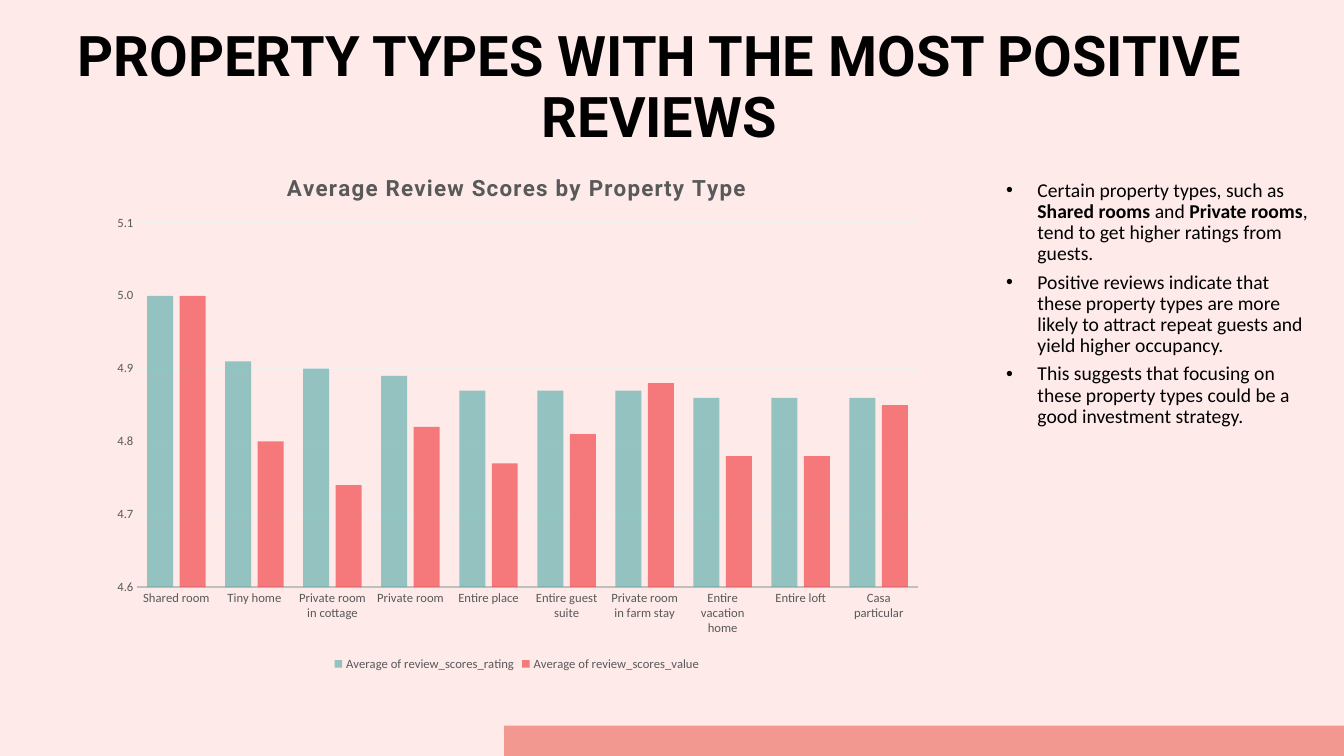
from lxml.etree import SubElement
from pptx import Presentation
from pptx.chart.data import CategoryChartData
from pptx.dml.color import RGBColor
from pptx.enum.chart import XL_CHART_TYPE, XL_LEGEND_POSITION, XL_TICK_MARK
from pptx.enum.shapes import MSO_SHAPE
from pptx.enum.text import MSO_ANCHOR, MSO_AUTO_SIZE, PP_ALIGN
from pptx.oxml import parse_xml
from pptx.oxml.ns import nsdecls, qn
from pptx.util import Inches, Pt

TITLE = "PROPERTY TYPES WITH THE MOST POSITIVE REVIEWS"
CHART_TITLE = "Average Review Scores by Property Type"
POINTS = [
    [("Certain property types, such as ", False), ("Shared rooms ", True), ("and ", False),
     ("Private rooms", True), (", tend to get higher ratings from guests.", False)],
    [("Positive reviews indicate that these property types are more likely to attract "
      "repeat guests and yield higher occupancy.", False)],
    [("This suggests that focusing on these property types could be a good "
      "investment strategy.", False)],
]
PROPERTY_TYPES = [
    "Shared room", "Tiny home", "Private room in cottage", "Private room", "Entire place",
    "Entire guest suite", "Private room in farm stay", "Entire vacation home",
    "Entire loft", "Casa particular",
]
SCORES = [
    ("Average of review_scores_rating", "66B2B0",
     [5, 4.91, 4.90, 4.89, 4.87, 4.87, 4.87, 4.86, 4.86, 4.86]),
    ("Average of review_scores_value", "F2494C",
     [5, 4.80, 4.74, 4.82, 4.77, 4.81, 4.88, 4.78, 4.78, 4.85]),
]
PLOT_LAYOUT = {"x": 0.045, "y": 0.132, "w": 0.936, "h": 0.699}


def color(value):
    return RGBColor.from_string(value)


def apply(target, values):
    for name, value in values.items():
        setattr(target, name, value)


def style_font(font, name, size, hex_color, bold=False):
    apply(font, {"name": name, "size": Pt(size), "bold": bold})
    font.color.rgb = color(hex_color)


def place(shape, box):
    apply(shape, dict(zip(("left", "top", "width", "height"), map(Inches, box))))


def add_footer_bar(page, box):
    bar = page.shapes.add_shape(MSO_SHAPE.RECTANGLE, *map(Inches, box))
    bar.shadow.inherit = False
    bar.fill.solid()
    bar.fill.fore_color.rgb = color("F39891")
    bar.line.fill.background()


def fill_title(title, box):
    place(title, box)
    apply(title.text_frame, {"word_wrap": True, "auto_size": MSO_AUTO_SIZE.NONE,
                             "vertical_anchor": MSO_ANCHOR.BOTTOM})
    para = title.text_frame.paragraphs[0]
    apply(para, {"alignment": PP_ALIGN.CENTER, "line_spacing": 0.9})
    span = para.add_run()
    span.text = TITLE
    style_font(span.font, "Roboto", 40, "000000", True)


def fill_points(body, box):
    place(body, box)
    frame = body.text_frame
    apply(frame, {"word_wrap": True, "auto_size": MSO_AUTO_SIZE.NONE})
    for index, point in enumerate(POINTS):
        para = frame.add_paragraph() if index else frame.paragraphs[0]
        properties = para._p.get_or_add_pPr()
        properties.set("marL", str(Inches(0.81)))
        properties.set("indent", str(Inches(-0.31)))
        SubElement(properties, qn("a:buFont")).set("typeface", "Arial")
        SubElement(properties, qn("a:buChar")).set("char", "•")
        apply(para, {"level": 1, "line_spacing": 0.9, "space_before": Pt(5 if index else 0),
                     "alignment": PP_ALIGN.LEFT})
        for text, bold in point:
            span = para.add_run()
            span.text = text
            style_font(span.font, "Calibri", 14, "000000", bold)


def style_axes(chart):
    for axis in (chart.category_axis, chart.value_axis):
        apply(axis, {"major_tick_mark": XL_TICK_MARK.NONE, "minor_tick_mark": XL_TICK_MARK.NONE})
        style_font(axis.tick_labels.font, "Calibri", 9, "595959")
    baseline = chart.category_axis.format.line
    baseline.width = Pt(1.25)
    baseline.color.rgb = color("BFBFBF")
    scale = chart.value_axis
    apply(scale, {"minimum_scale": 4.6, "maximum_scale": 5.1, "major_unit": 0.1,
                  "has_major_gridlines": True})
    apply(scale.tick_labels, {"number_format": "0.0", "number_format_is_linked": False})
    scale.format.line.fill.background()
    grid = scale.major_gridlines.format.line
    grid.width = Pt(0.75)
    grid.color.rgb = color("F2F2F2")


def style_plot(chart):
    plot = chart.plots[0]
    apply(plot, {"gap_width": 75, "overlap": -25, "vary_by_categories": False})
    for series, (_, fill, _) in zip(plot.series, SCORES):
        series.invert_if_negative = False
        series.format.fill.solid()
        series.format.fill.fore_color.rgb = color(fill)
        tint = next(series._element.iter(qn("a:srgbClr")))
        SubElement(tint, qn("a:alpha")).set("val", "70000")


def clear_backgrounds(chart):
    blank = f'<c:spPr {nsdecls("c", "a")}><a:noFill/><a:ln><a:noFill/></a:ln></c:spPr>'
    area = chart._chartSpace.find(qn("c:chart"))
    area.addnext(parse_xml(blank))
    area.find(qn("c:plotArea")).append(parse_xml(blank))


def set_plot_layout(chart):
    plot_area = chart._chartSpace.find(qn("c:chart")).find(qn("c:plotArea"))
    for existing in plot_area.findall(qn("c:layout")):
        plot_area.remove(existing)
    modes = '<c:layoutTarget val="inner"/><c:xMode val="edge"/><c:yMode val="edge"/>'
    sizes = "".join(f'<c:{name} val="{value}"/>' for name, value in PLOT_LAYOUT.items())
    plot_area.insert(0, parse_xml(
        f'<c:layout {nsdecls("c")}><c:manualLayout>{modes}{sizes}</c:manualLayout></c:layout>'))


def add_score_chart(page, box):
    data = CategoryChartData(number_format="0.0")
    data.categories = PROPERTY_TYPES
    for name, _, values in SCORES:
        data.add_series(name, values)
    chart = page.shapes.add_chart(XL_CHART_TYPE.COLUMN_CLUSTERED, *map(Inches, box), data).chart
    style_font(chart.font, "Calibri", 10, "000000")
    chart.has_title = True
    span = chart.chart_title.text_frame.paragraphs[0].add_run()
    span.text = CHART_TITLE
    style_font(span.font, "Roboto", 16, "595959", True)
    span.font._element.set("spc", "100")
    chart.chart_title.include_in_layout = False
    chart.has_legend = True
    apply(chart.legend, {"position": XL_LEGEND_POSITION.BOTTOM, "include_in_layout": False})
    style_font(chart.legend.font, "Calibri", 9, "595959")
    style_axes(chart)
    style_plot(chart)
    clear_backgrounds(chart)
    set_plot_layout(chart)


def main():
    deck = Presentation()
    apply(deck, {"slide_width": Inches(13.33), "slide_height": Inches(7.5)})
    page = deck.slides.add_slide(deck.slide_layouts[1])
    page.background.fill.solid()
    page.background.fill.fore_color.rgb = color("FDEAE9")
    add_footer_bar(page, (5, 7.2, 8.33, 0.3))
    fill_title(page.shapes.title, (0, 0.19, 13.08, 1.34))
    fill_points(page.placeholders[1], (9.38, 1.74, 3.7, 5.31))
    add_score_chart(page, (0.99, 1.53, 8.27, 5.17))
    deck.save("out.pptx")


if __name__ == "__main__":
    main()
